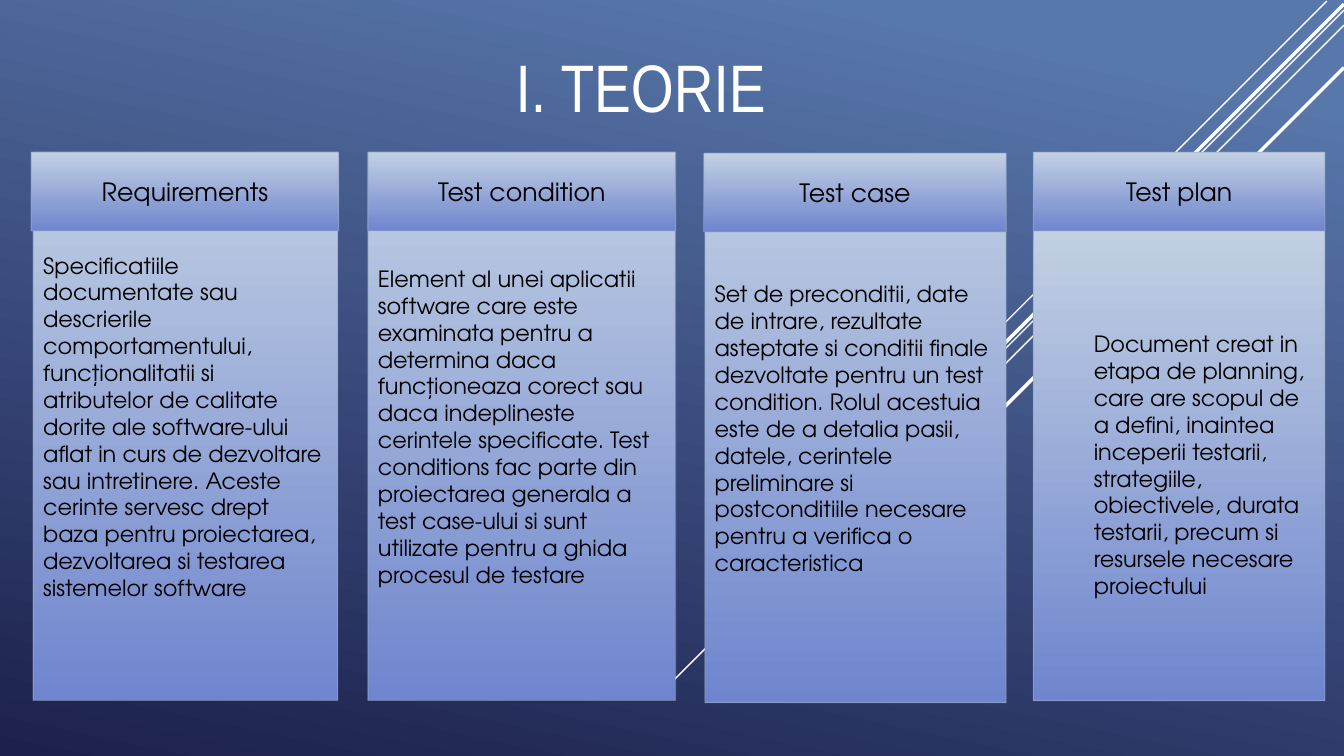
from pptx import Presentation, util as u
from pptx.dml.color import RGBColor
from pptx.enum import shapes, text
from pptx.oxml import parse_xml
from pptx.oxml.ns import nsdecls, qn

SIZE = 13.33, 7.5
TITLE = "I. TEORIE"
HEAD = 0.78
CARDS = [
    ("Requirements", (0.31, 1.51, 3.05), (0.33, 1.51, 3.02, 5.44), 0,
     "Specificatiile documentate sau descrierile comportamentului, funcționalitatii si "
     "atributelor de calitate dorite ale software-ului aflat in curs de dezvoltare sau "
     "intretinere. Aceste cerinte servesc drept baza pentru proiectarea, dezvoltarea si "
     "testarea sistemelor software"),
    ("Test condition", (3.65, 1.51, 3.05), (3.65, 1.51, 3.05, 5.44), 0,
     "Element al unei aplicatii software care este examinata pentru a determina daca "
     "funcționeaza corect sau daca indeplineste cerintele specificate. Test conditions fac "
     "parte din proiectarea generala a test case-ului si sunt utilizate pentru a ghida "
     "procesul de testare"),
    ("Test case", (6.98, 1.52, 3), (6.99, 1.53, 2.99, 5.44), 0,
     "Set de preconditii, date de intrare, rezultate asteptate si conditii finale dezvoltate "
     "pentru un test condition. Rolul acestuia este de a detalia pasii, datele, cerintele "
     "preliminare si postconditiile necesare pentru a verifica o caracteristica"),
    ("Test plan", (10.25, 1.51, 2.89), (10.25, 2.27, 2.89, 4.68), 0.5,
     "Document creat in etapa de planning, care are scopul de a defini, inaintea inceperii "
     "testarii, strategiile, obiectivele, durata testarii, precum si resursele necesare "
     "proiectului"),
]
RAYS = [(13.16, 0.01, 4.17, 1), (13.33, 0.1, 6.65, 1), (13.33, 0.25, 5.42, 1),
        (13.33, 0.04, 5.3, 2.5), (13.33, 0.67, 4.75, 2.5)]
BODY = {"name": "TeX Gyre Adventor", "size": u.Pt(16)}
LABEL = {**BODY, "size": u.Pt(18)}
HEADING = {"name": "Arial Narrow", "size": u.Pt(48)}


def color(code):
    return RGBColor.from_string(code)


def blend(fill, angle, *stops):
    fill.gradient()
    fill.gradient_angle = angle
    for stop, (pos, code) in zip(fill.gradient_stops, stops):
        stop.position = pos
        stop.color.rgb = color(code)


def write(shape, words, style, code, align, anchor, indent=0):
    frame = shape.text_frame
    frame.word_wrap = True
    frame.vertical_anchor = anchor
    para = frame.paragraphs[0]
    para.alignment = align
    if indent:
        para.level = 1
        props = para._p.get_or_add_pPr()
        props.set("marL", str(u.Inches(indent)))
        props.set("indent", "0")
    run = para.add_run()
    run.text = words
    for key, value in style.items():
        setattr(run.font, key, value)
    run.font.color.rgb = color(code)


def panel(slide, box, words, style, align, indent=0):
    shape = slide.shapes.add_shape(shapes.MSO_SHAPE.RECTANGLE, *map(u.Inches, box))
    shape.shadow.inherit = False
    blend(shape.fill, 270, (0, "C2D0E3"), (1, "6F85CE"))
    shape.line.width = u.Pt(0.75)
    shape.line.color.rgb = color("94A9C4")
    tint = shape.line._ln.find(".//" + qn("a:srgbClr"))
    tint.append(parse_xml(f'<a:alpha {nsdecls("a")} val="60000"/>'))
    write(shape, words, style, "000000", align, text.MSO_ANCHOR.MIDDLE, indent)


def ray(slide, x, y, span, width):
    ends = map(u.Inches, (x, y, x - span, y + span))
    line = slide.shapes.add_connector(shapes.MSO_CONNECTOR.STRAIGHT, *ends)
    line.line.width = u.Pt(width)
    line.line.color.rgb = color("FFFFFF")
    line._element.spPr.append(parse_xml(f'<a:effectLst {nsdecls("a")}/>'))


def main():
    deck = Presentation()
    deck.slide_width, deck.slide_height = map(u.Inches, SIZE)
    slide = deck.slides.add_slide(deck.slide_layouts[5])
    blend(slide.background.fill, 258, (0.1, "5877AB"), (1, "1C204D"))
    title = slide.shapes.title
    for side, value in zip(("left", "top", "width", "height"), (1.98, 0.29, 8.75, 1.01)):
        setattr(title, side, u.Inches(value))
    write(title, TITLE, HEADING, "FFFFFF", text.PP_ALIGN.CENTER, text.MSO_ANCHOR.BOTTOM)
    for item in RAYS:
        ray(slide, *item)
    for label, head, body, indent, words in CARDS:
        panel(slide, body, words, BODY, text.PP_ALIGN.LEFT, indent)
        panel(slide, (*head, HEAD), label, LABEL, text.PP_ALIGN.CENTER)
    deck.save("out.pptx")


if __name__ == "__main__":
    main()
